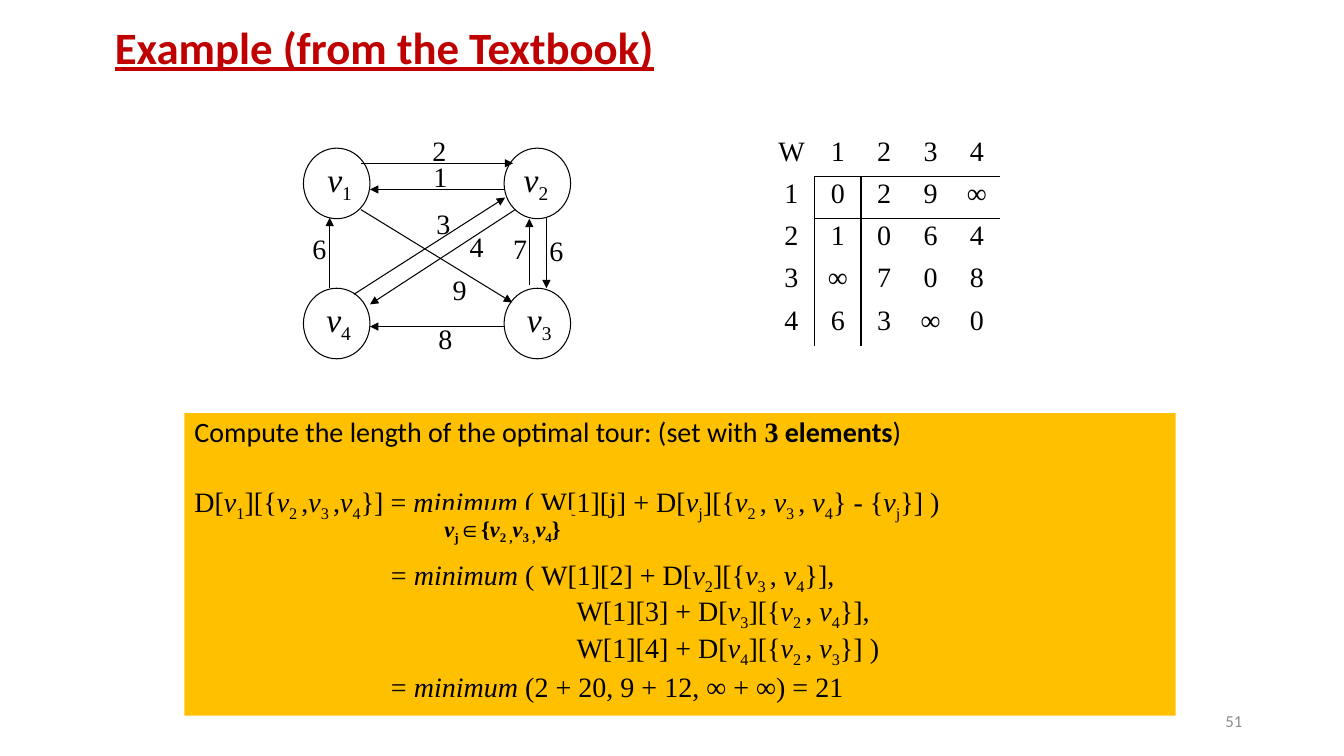
from dataclasses import dataclass, replace
from typing import Any, NamedTuple

from lxml.etree import SubElement
from pptx import Presentation
from pptx.dml.color import RGBColor
from pptx.enum.shapes import MSO_CONNECTOR as Link, MSO_SHAPE as Form
from pptx.enum.text import MSO_ANCHOR as Anchor, PP_ALIGN as Align
from pptx.oxml import parse_xml
from pptx.oxml.ns import nsdecls, qn
from pptx.util import Inches, Pt


@dataclass(frozen=True)
class Theme:
    sans: str = "Calibri"
    serif: str = "Times New Roman"
    black: str = "000000"
    white: str = "FFFFFF"
    red: str = "C00000"
    gold: str = "FFC000"
    gray: str = "8C8C8C"
    title: int = 32
    node: int = 24
    body: int = 20
    note: int = 16
    page: int = 12
    thin: float = 0.75
    rule: float = 1


THEME = Theme()


@dataclass(frozen=True)
class Style:
    size: int = THEME.body
    font: str = THEME.serif
    color: str = THEME.black
    bold: bool = False
    italic: bool = False
    under: bool = False
    sub: bool = False


class Box(NamedTuple):
    left: float
    top: float
    width: float
    height: float


class Node(NamedTuple):
    name: str
    left: float
    top: float
    pad: float


class Edge(NamedTuple):
    x1: float
    y1: float
    x2: float
    y2: float


class Label(NamedTuple):
    text: str
    left: float
    top: float


class Line(NamedTuple):
    text: str
    indent: float
    before: float


NODES = [
    Node("|v1|", 3.01, 1.47, 0.14), Node("|v2|", 5, 1.47, 0.1),
    Node("|v4|", 3.01, 2.86, 0.13), Node("|v3|", 5, 2.86, 0.13),
]
EDGES = [
    Edge(5.11, 2.08, 3.67, 3.02), Edge(3.58, 1.62, 5.09, 1.62),
    Edge(3.27, 2.86, 3.27, 2.16), Edge(5.42, 2.16, 5.42, 2.86),
    Edge(5, 3.24, 3.67, 3.24), Edge(5, 1.88, 3.67, 1.88),
    Edge(5.25, 2.83, 5.25, 2.17), Edge(3.51, 2.92, 5.01, 1.96),
    Edge(3.58, 2.08, 5.08, 3),
]
LABELS = [
    Label("2", 4.19, 1.27), Label("8", 4.25, 3.14), Label("4", 4.56, 2.23),
    Label("1", 4.2, 1.53), Label("6", 5.35, 2.27), Label("6", 3, 2.25),
    Label("7", 4.99, 2.25), Label("3", 4.23, 2), Label("9", 4.39, 2.65),
]
COSTS = ["W1234", "1029∞", "21064", "3∞708", "463∞0"]
LINES = [
    Line("D[|v1|][{|v2 |,|v3 |,|v4|}] = |minimum| ( W[1][j] + D[|vj|][{"
         "|v2 |, |v3 |, |v4|} - {|vj|}] )", 0, 26),
    Line("= |minimum| ( W[1][2] + D[|v2|][{|v3 |, |v4|}],", 1.95, 27.5),
    Line("W[1][3] + D[|v3|][{|v2 |, |v4|}],", 3.79, 1.5),
    Line("W[1][4] + D[|v4|][{|v2 |, |v3|}] )", 3.79, 1.5),
    Line("= |minimum| (2 + 20, 9 + 12, ∞ + ∞) = 21", 1.95, 5.5),
]


def add_run(para: Any, text: str, style: Style) -> None:
    run = para.add_run()
    run.text = text
    font = run.font
    font.size, font.name = Pt(style.size), style.font
    font.bold, font.italic, font.underline = style.bold, style.italic, style.under
    font.color.rgb = RGBColor.from_string(style.color)
    if style.sub:
        run._r.get_or_add_rPr().set("baseline", "-25000")


def add_math(para: Any, text: str, style: Style) -> None:
    """Set pieces between bars in italics, with what follows a v lowered."""
    for turn, piece in enumerate(text.split("|")):
        if turn % 2 and piece.startswith("v"):
            add_run(para, "v", replace(style, italic=True))
            add_run(para, piece[1:], replace(style, sub=True))
        elif piece:
            add_run(para, piece, replace(style, italic=turn % 2 == 1))


def set_frame(shape: Any, pads: tuple[float, ...] = (0.1, 0.05, 0.1, 0.05),
              anchor: Any = Anchor.TOP, wrap: bool = True) -> Any:
    """Prepare the text frame and return its first paragraph."""
    frame = shape.text_frame
    frame.word_wrap, frame.vertical_anchor = wrap, anchor
    (frame.margin_left, frame.margin_top,
     frame.margin_right, frame.margin_bottom) = map(Inches, pads)
    para = frame.paragraphs[0]
    para.alignment = Align.LEFT
    return para


def add_text(slide: Any, box: Box, text: str, style: Style,
             anchor: Any = Anchor.TOP, align: Any = Align.LEFT) -> None:
    para = set_frame(slide.shapes.add_textbox(*map(Inches, box)), anchor=anchor)
    para.alignment = align
    add_run(para, text, style)


def add_form(slide: Any, form: Any, box: Box, fill: str, edge: bool = False) -> Any:
    shape = slide.shapes.add_shape(form, *map(Inches, box))
    shape.shadow.inherit = False
    shape.fill.solid()
    shape.fill.fore_color.rgb = RGBColor.from_string(fill)
    if edge:
        shape.line.color.rgb = RGBColor.from_string(THEME.black)
        shape.line.width = Pt(THEME.thin)
    else:
        shape.line.fill.background()
    return shape


def add_edge(slide: Any, edge: Edge) -> None:
    link = slide.shapes.add_connector(Link.STRAIGHT, *map(Inches, edge))
    link.line.color.rgb = RGBColor.from_string(THEME.black)
    link.line.width = Pt(THEME.thin)
    SubElement(link.line._get_or_add_ln(), qn("a:tailEnd"), type="triangle")
    SubElement(link._element.spPr, qn("a:effectLst"))


def add_rules(cell: Any, row: int, col: int) -> None:
    """Rule off the header row and the header column."""
    sides = {"L": row and col == 1, "R": row and col == 0,
             "T": col and row == 1, "B": col and row == 0}
    drawn = [side for side, shown in sides.items() if shown]
    for place, side in enumerate(drawn):
        cell._tc.get_or_add_tcPr().insert(place, parse_xml(
            f'<a:ln{side} {nsdecls("a")} w="{Pt(THEME.rule)}"><a:solidFill>'
            f'<a:srgbClr val="{THEME.black}"/></a:solidFill></a:ln{side}>'))


def add_costs(slide: Any) -> None:
    count = len(COSTS)
    table = slide.shapes.add_table(
        count, count, *map(Inches, Box(7.62, 1.33, 0.46 * count, 0.42 * count))).table
    table.first_row = table.horz_banding = False
    plain = table._tbl.tblPr.find(qn("a:tableStyleId"))
    plain.text = "{2D5ABB26-0587-4C30-8999-92F81FD0307C}"
    for row, marks in enumerate(COSTS):
        for col, mark in enumerate(marks):
            cell = table.cell(row, col)
            cell.margin_left = cell.margin_right = Inches(0.04)
            cell.margin_top = cell.margin_bottom = Inches(0.02)
            cell.fill.background()
            add_rules(cell, row, col)
            para = cell.text_frame.paragraphs[0]
            para.alignment = Align.CENTER
            add_run(para, mark, Style())


def add_graph(slide: Any) -> None:
    for node in NODES:
        oval = add_form(slide, Form.OVAL, Box(node.left, node.top, 0.66, 0.7),
                        THEME.white, edge=True)
        add_math(set_frame(oval, (node.pad, 0, 0, 0.05)), node.name,
                 Style(THEME.node))
    for edge in EDGES:
        add_edge(slide, edge)
    for label in LABELS:
        add_text(slide, Box(label.left, label.top, 0.44, 0.48), label.text, Style())


def add_tour(slide: Any) -> None:
    panel = add_form(slide, Form.RECTANGLE, Box(1.83, 4.1, 9.83, 3), THEME.gold)
    head = set_frame(panel)
    head.line_spacing = 0.9
    sans = Style(font=THEME.sans)
    add_run(head, "Compute the length of the optimal tour: (set with ", sans)
    add_run(head, "3", Style(bold=True))
    add_run(head, " elements", replace(sans, bold=True))
    add_run(head, ")", sans)
    for line in LINES:
        para = panel.text_frame.add_paragraph()
        para.alignment, para.line_spacing = Align.LEFT, 0.9
        para.space_before = Pt(line.before)
        para._p.get_or_add_pPr().set("marL", str(Inches(line.indent)))
        add_math(para, line.text, Style())
    note = add_form(slide, Form.RECTANGLE, Box(4.31, 5.06, 1.36, 0.37), THEME.gold)
    add_math(set_frame(note, wrap=False), "|vj|∈{|v2 ,||v3 ,||v4|}",
             Style(THEME.note, bold=True))


def main() -> None:
    deck = Presentation()
    deck.slide_width, deck.slide_height = Inches(13.33), Inches(7.5)
    slide = deck.slides.add_slide(deck.slide_layouts[6])
    add_text(slide, Box(1.04, 0, 10.6, 0.92), "Example (from the Textbook)",
             Style(THEME.title, THEME.sans, THEME.red, bold=True, under=True),
             Anchor.MIDDLE)
    add_graph(slide)
    add_costs(slide)
    add_tour(slide)
    add_text(slide, Box(9.42, 6.95, 3, 0.4), "51",
             Style(THEME.page, THEME.sans, THEME.gray), Anchor.MIDDLE, Align.RIGHT)
    deck.save("out.pptx")


if __name__ == "__main__":
    main()
